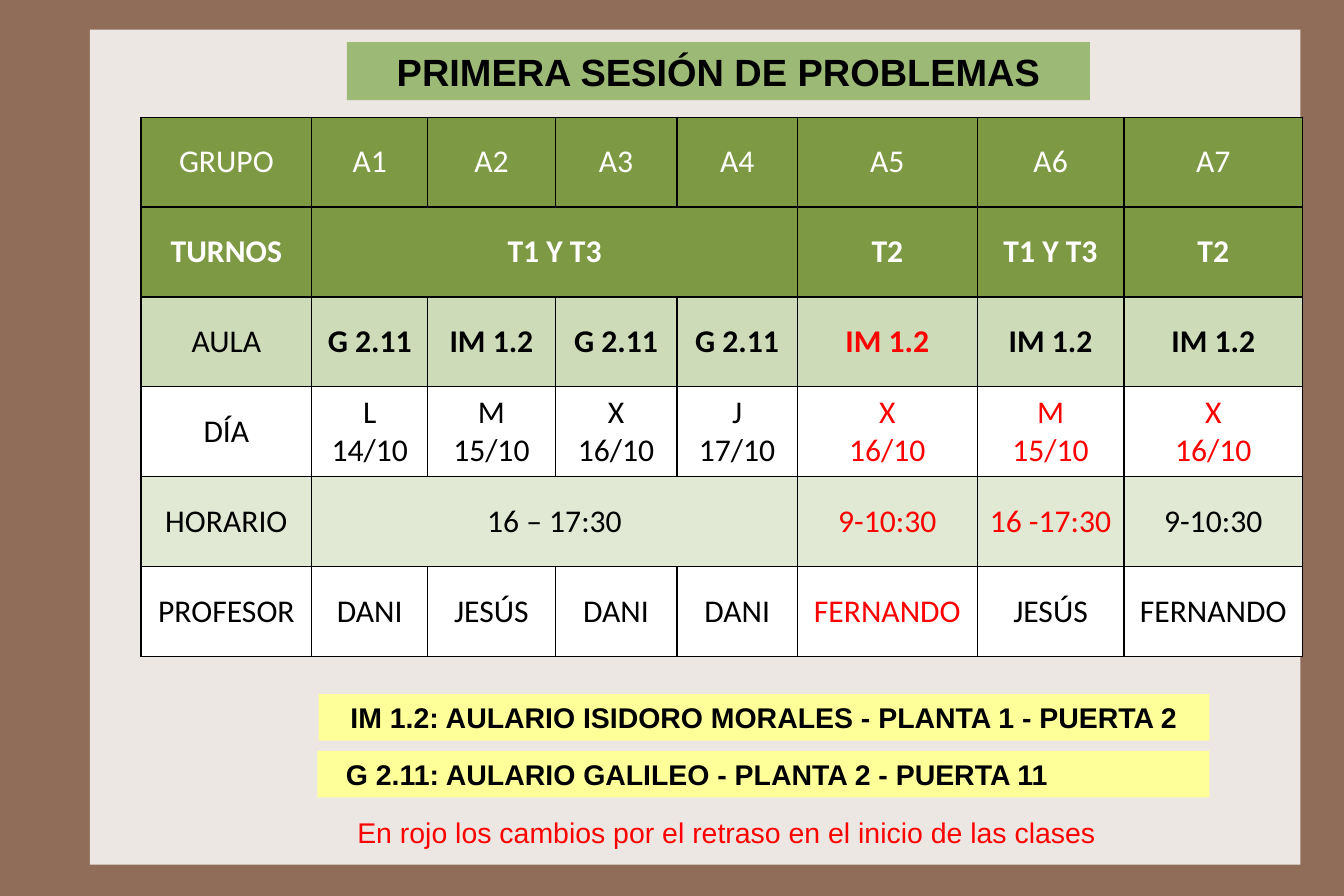
from dataclasses import dataclass

from lxml import etree
from pptx import Presentation
from pptx import util as u
from pptx.dml import color
from pptx.enum import shapes, text
from pptx.oxml import ns

BLACK, WHITE, RED = "000000", "FFFFFF", "FF0000"
GREEN, YELLOW = "7D9943", "FFFF99"
WIDTHS = (1.5, 1.02, 1.12, 1.07, 1.06, 1.58, 1.29, 1.57)
HEIGHT = 0.79


@dataclass
class Row:
    texts: tuple[str, ...]
    fill: str
    ink: str = BLACK
    bold: tuple[int, ...] = ()
    red: tuple[int, ...] = ()
    merge: bool = False


@dataclass
class Label:
    text: str
    left: float
    top: float
    width: float
    height: float
    fill: str = ""
    size: int = 18
    ink: str = BLACK
    bold: bool = True
    centred: bool = True
    inset: float = 0.11


ROWS = (
    Row(("GRUPO", "A1", "A2", "A3", "A4", "A5", "A6", "A7"), GREEN, WHITE),
    Row(("TURNOS", "T1 Y T3", "", "", "", "T2", "T1 Y T3", "T2"), GREEN, WHITE,
        bold=tuple(range(8)), merge=True),
    Row(("AULA", "G 2.11", "IM 1.2", "G 2.11", "G 2.11", "IM 1.2", "IM 1.2", "IM 1.2"),
        "CDDBB9", bold=tuple(range(1, 8)), red=(5,)),
    Row(("DÍA", "L\n14/10", "M\n15/10", "X\n16/10", "J\n17/10",
         "X\n16/10", "M\n15/10", "X\n16/10"), WHITE, red=(5, 6, 7)),
    Row(("HORARIO", "16 – 17:30", "", "", "", "9-10:30", "16 -17:30", "9-10:30"),
        "E1E9D5", red=(5, 6), merge=True),
    Row(("PROFESOR", "DANI", "JESÚS", "DANI", "DANI", "FERNANDO", "JESÚS", "FERNANDO"),
        WHITE, red=(5,)),
)

LABELS = (
    Label("PRIMERA SESIÓN DE PROBLEMAS", 3.05, 0.37, 6.53, 0.51, "9DB976", size=24),
    Label("IM 1.2: AULARIO ISIDORO MORALES - PLANTA 1 - PUERTA 2",
          2.8, 6.1, 7.83, 0.41, YELLOW),
    Label("G 2.11: AULARIO GALILEO - PLANTA 2 - PUERTA 11",
          2.79, 6.6, 7.84, 0.41, YELLOW, centred=False, inset=0.25),
    Label("En rojo los cambios por el retraso en el inicio de las clases",
          1.81, 7.11, 9.01, 0.41, ink=RED, bold=False, inset=0.25),
)


def paint(fill, tone: str) -> None:
    fill.solid()
    fill.fore_color.rgb = color.RGBColor.from_string(tone)


def style(frame, face: str, size: int, ink: str, bold: bool, centred: bool = True) -> None:
    for para in frame.paragraphs:
        para.alignment = text.PP_ALIGN.CENTER if centred else text.PP_ALIGN.LEFT
        for run in para.runs:
            run.font.name = face
            run.font.size = u.Pt(size)
            run.font.bold = bold
            run.font.color.rgb = color.RGBColor.from_string(ink)


def add_box(slide, left: float, top: float, width: float, height: float, tone: str):
    box = slide.shapes.add_shape(shapes.MSO_SHAPE.RECTANGLE, u.Inches(left),
                                 u.Inches(top), u.Inches(width), u.Inches(height))
    box.shadow.inherit = False
    box.line.fill.background()
    paint(box.fill, tone)
    return box


def add_label(slide, label: Label) -> None:
    place = (label.left, label.top, label.width, label.height)
    if label.fill:
        box = add_box(slide, *place, label.fill)
    else:
        box = slide.shapes.add_textbox(*map(u.Inches, place))
    frame = box.text_frame
    frame.word_wrap = True
    frame.vertical_anchor = text.MSO_ANCHOR.MIDDLE
    frame.margin_left, frame.margin_right = u.Inches(label.inset), u.Inches(0.11)
    frame.margin_top = frame.margin_bottom = u.Inches(0.05)
    frame.text = label.text
    style(frame, "Arial", label.size, label.ink, label.bold, label.centred)


def add_edges(cell) -> None:
    props = cell._tc.get_or_add_tcPr()
    for side in ("a:lnL", "a:lnR", "a:lnT", "a:lnB"):
        edge = etree.SubElement(props, ns.qn(side), w=str(u.Pt(1)))
        solid = etree.SubElement(edge, ns.qn("a:solidFill"))
        etree.SubElement(solid, ns.qn("a:srgbClr"), val=BLACK)


def add_grid(slide) -> None:
    frame = slide.shapes.add_table(len(ROWS), len(WIDTHS), u.Inches(1.24), u.Inches(1.03),
                                   u.Inches(sum(WIDTHS)), u.Inches(HEIGHT * len(ROWS)))
    grid = frame.table
    grid.first_row = grid.horz_banding = False
    for col, width in zip(grid.columns, WIDTHS):
        col.width = u.Inches(width)
    for r, row in enumerate(ROWS):
        grid.rows[r].height = u.Inches(HEIGHT)
        if row.merge:
            grid.cell(r, 1).merge(grid.cell(r, 4))
        for c, words in enumerate(row.texts):
            cell = grid.cell(r, c)
            add_edges(cell)
            paint(cell.fill, row.fill)
            cell.vertical_anchor = text.MSO_ANCHOR.MIDDLE
            cell.margin_left = cell.margin_right = u.Inches(0.05)
            cell.text_frame.text = words
            style(cell.text_frame, "Calibri", 20, RED if c in row.red else row.ink,
                  c in row.bold)


def main() -> None:
    # Page in the ratio 3 to 2
    deck = Presentation()
    deck.slide_width, deck.slide_height = u.Inches(189 / 16), u.Inches(63 / 8)
    slide = deck.slides.add_slide(deck.slide_layouts[6])

    # Background and panel
    paint(slide.background.fill, "906D58")
    add_box(slide, 0.79, 0.26, 10.64, 7.34, "EDE7E3")

    # Timetable
    add_grid(slide)

    # Title and notes on the rooms
    for label in LABELS:
        add_label(slide, label)

    deck.save("out.pptx")


if __name__ == "__main__":
    main()
